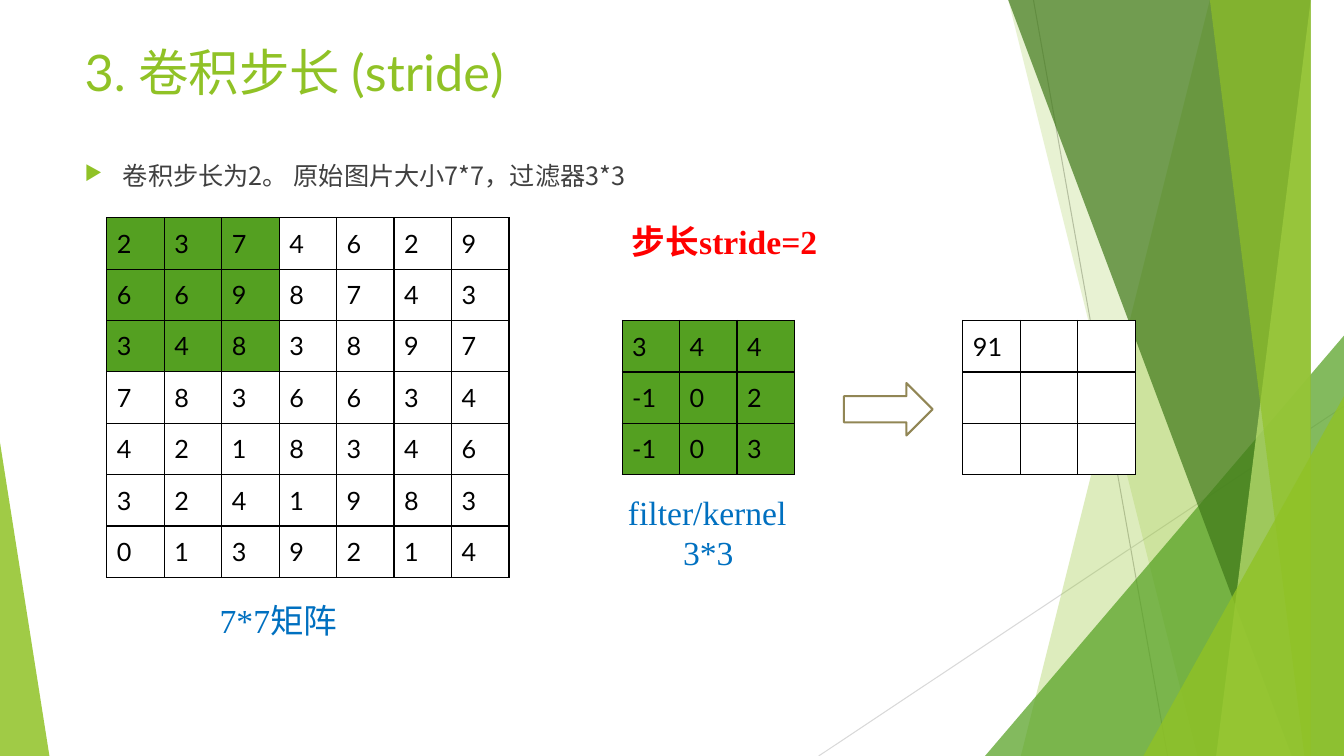
"""Build the slide on convolution stride: a 7*7 matrix, a 3*3 filter and the result."""
from lxml import etree
from pptx import Presentation
from pptx import util as u
from pptx.dml import color as c
from pptx.enum import shapes, text
from pptx.oxml import ns

LIME, GREEN, BLUE = "90C226", "54A021", "0070C0"
WHITE, BLACK = "FFFFFF", "000000"


def paint(fill, shade, alpha=100):
    fill.solid()
    fill.fore_color.rgb = c.RGBColor.from_string(shade)
    if alpha < 100:
        tone = fill._xPr.find(".//" + ns.qn("a:srgbClr"))
        etree.SubElement(tone, ns.qn("a:alpha"), val=str(alpha * 1000))


def write(par, words, size, face, shade, bold=False):
    run = par.add_run()
    run.text = words
    look = {"size": u.Pt(size), "name": face, "bold": bold}
    for key, val in look.items():
        setattr(run.font, key, val)
    paint(run.font.fill, shade)
    etree.SubElement(run._r.get_or_add_rPr(), ns.qn("a:ea"), typeface="Noto Sans CJK SC")


deck = Presentation()
deck.slide_width, deck.slide_height = u.Inches(13.33), u.Inches(7.5)
slide = deck.slides.add_slide(deck.slide_layouts[6])
items = slide.shapes

rays = [((10.25, 0, 11.58, 7.5), "BFBFBF"), ((13.33, 4.03, 8.12, 7.5), "D9D9D9")]
for ends, shade in rays:
    ray = items.add_connector(shapes.MSO_CONNECTOR.STRAIGHT, *map(u.Inches, ends))
    ray.line.width = u.Pt(0.75)
    paint(ray.line.fill, shade)
    etree.SubElement(ray._element.spPr, ns.qn("a:effectLst"))

bands = [
    ("band", 12.28, 10.04, LIME, 30),
    ("band", 10.5, 11.83, LIME, 20),
    ("wedge", (9.77, 3.33, 3.56, 4.17), 1, GREEN, 72),
    ("band", 10.21, 12.91, "3F7819", 70),
    ("band", 13.03, 11.92, "C0E474", 70),
    ("band", 11.96, 13.18, LIME, 65),
    ("wedge", (11.34, 3.93, 1.99, 3.57), 1, LIME, 80),
    ("wedge", (0, 4.39, 0.49, 3.11), 0, LIME, 85),
]
for kind, one, two, shade, alpha in bands:
    if kind == "band":
        pen = items.build_freeform(one, -0.01, scale=u.Inches(1))
        pen.add_line_segments([(13.33, -0.01), (13.33, 7.5), (two, 7.5)])
        part = pen.convert_to_shape()
    else:
        part = items.add_shape(shapes.MSO_SHAPE.ISOSCELES_TRIANGLE, *map(u.Inches, one))
        part.adjustments[0] = two
    part.shadow.inherit = False
    part.line.fill.background()
    paint(part.fill, shade, alpha)

SERIF = "Times New Roman"
notes = [
    ((0.74, 0.36, 9.4, 0.81), ["3. 卷积步长 (stride)"], (36, "Lato", LIME)),
    ((0.74, 1.39, 9.4, 0.79), ["卷积步长为2。 原始图片大小7*7，过滤器3*3"],
     (18, "Noto Sans CJK SC", "404040")),
    ((2.08, 5.9, 1.38, 0.5), ["7*7矩阵"], (24, SERIF, BLUE)),
    ((6.13, 4.83, 1.79, 0.91), ["filter/kernel", "3*3"], (24, SERIF, BLUE)),
    ((6.17, 2.14, 2.06, 0.5), ["步长stride=2"], (24, SERIF, "FF0000", True)),
]
frames = []
for place, lines, look in notes:
    frame = items.add_textbox(*map(u.Inches, place)).text_frame
    frame.word_wrap = True
    for num, words in enumerate(lines):
        par = frame.add_paragraph() if num else frame.paragraphs[0]
        write(par, words, *look)
    frames.append(frame)
frames[3].paragraphs[1].alignment = text.PP_ALIGN.CENTER

point = frames[1].paragraphs[0]
point.line_spacing, point.space_before = 1.5, u.Pt(10)
props = point._p.get_or_add_pPr()
props.set("marL", str(u.Inches(0.38)))
props.set("indent", str(u.Inches(-0.38)))
tint = etree.SubElement(props, ns.qn("a:buClr"))
etree.SubElement(tint, ns.qn("a:srgbClr"), val=LIME)
etree.SubElement(props, ns.qn("a:buSzPct"), val="80000")
etree.SubElement(props, ns.qn("a:buChar"), char="▶")

COL, ROW = 0.57, 0.51
grids = [
    (1.06, 2.16, ["2 3 7 4 6 2 9", "6 6 9 8 7 4 3", "3 4 8 3 8 9 7", "7 8 3 6 6 3 4",
                  "4 2 1 8 3 4 6", "3 2 4 1 9 8 3", "0 1 3 9 2 1 4"], 3),
    (6.17, 3.18, ["3 4 4", "-1 0 2", "-1 0 3"], 3),
    (9.55, 3.18, ["91", "", ""], 0),
]
for left, top, rows, green in grids:
    count = len(rows)
    table = items.add_table(count, count, *map(u.Inches, (left, top, COL * count, ROW * count))).table
    table.first_row = table.horz_banding = False
    for col in table.columns:
        col.width = u.Inches(COL)
    for y, row in enumerate(rows):
        table.rows[y].height = u.Inches(ROW)
        vals = row.split()
        for x in range(count):
            cell = table.cell(y, x)
            cell.vertical_anchor = text.MSO_ANCHOR.MIDDLE
            paint(cell.fill, GREEN if max(x, y) < green else WHITE)
            if x < len(vals):
                write(cell.text_frame.paragraphs[0], vals[x], 18, "Lato", BLACK)
            for spot, side in enumerate("LRTB"):
                edge = etree.Element(ns.qn("a:ln" + side), w=str(u.Pt(1)))
                ink = etree.SubElement(edge, ns.qn("a:solidFill"))
                etree.SubElement(ink, ns.qn("a:srgbClr"), val=BLACK)
                cell._tc.get_or_add_tcPr().insert(spot, edge)

arrow = items.add_shape(shapes.MSO_SHAPE.RIGHT_ARROW, *map(u.Inches, (8.37, 3.8, 0.88, 0.52)))
arrow.shadow.inherit = False
arrow.line.width = u.Pt(1.5)
paint(arrow.fill, WHITE)
paint(arrow.line.fill, "918655")

deck.save("out.pptx")
